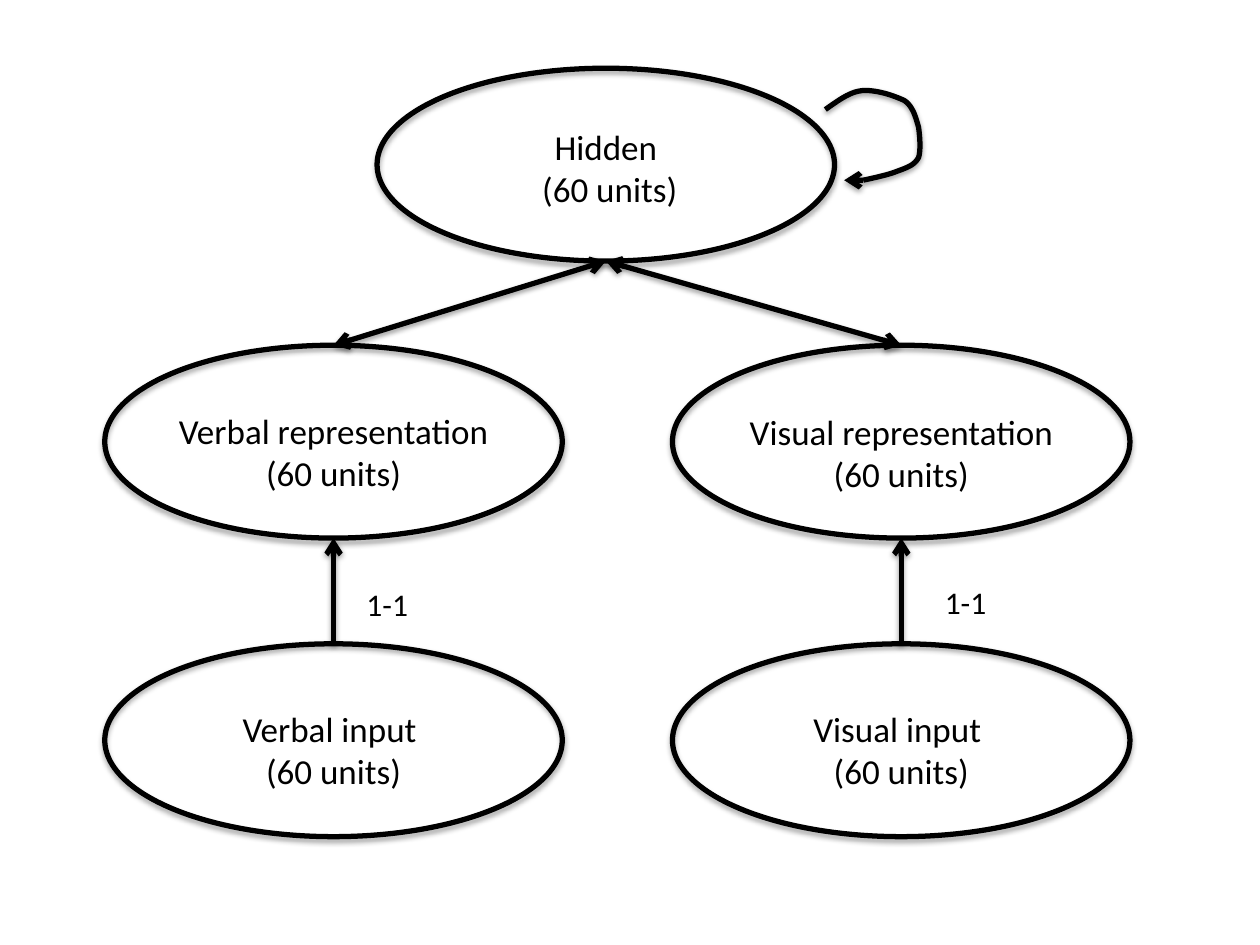
from lxml.etree import SubElement
from pptx import Presentation
from pptx.dml.color import RGBColor
from pptx.enum.shapes import MSO_CONNECTOR, MSO_SHAPE
from pptx.enum.text import MSO_AUTO_SIZE, PP_ALIGN
from pptx.oxml.ns import qn
from pptx.util import Pt

BLACK = RGBColor(0, 0, 0)
FONT = "Calibri"
WIDE, HIGH = 261.4, 110.2
LEFT, MID, RIGHT = 190.6, 346.2, 515
TOP, CORE, BASE = 39, 197.3, 367.9


class Sketch:
    def __init__(self, deck):
        self.shapes = deck.slides.add_slide(deck.slide_layouts[6]).shapes

    def shade(self, shape, alpha, dist):
        effect = SubElement(shape._element.spPr, qn("a:effectLst"))
        outer = SubElement(effect, qn("a:outerShdw"), blurRad=str(Pt(3.1)),
                           dist=str(Pt(dist)), dir="5400000", rotWithShape="0")
        tint = SubElement(outer, qn("a:srgbClr"), val=str(BLACK))
        SubElement(tint, qn("a:alpha"), val=str(alpha * 1000))

    def stroke(self, shape, alpha=38, dist=1.6, ends=()):
        shape.line.color.rgb = BLACK
        shape.line.width = Pt(3)
        for end in ends:
            SubElement(shape.line._get_or_add_ln(), qn("a:" + end), type="arrow")
        self.shade(shape, alpha, dist)

    def oval(self, mid, top):
        shape = self.shapes.add_shape(
            MSO_SHAPE.OVAL, Pt(mid - WIDE / 2), Pt(top), Pt(WIDE), Pt(HIGH))
        shape.fill.background()
        self.stroke(shape, 35, 1.8)

    def arrow(self, start, stop, ends=("tailEnd",)):
        line = self.shapes.add_connector(
            MSO_CONNECTOR.STRAIGHT, *(Pt(v) for v in (*start, *stop)))
        self.stroke(line, ends=ends)

    def curve(self, start, parts, steps=12):
        dots, last = [], start
        for a, b, end in parts:
            for i in range(1, steps + 1):
                t = i / steps
                u = 1 - t
                dots.append(tuple(
                    Pt(u**3 * p + 3 * u * u * t * q + 3 * u * t * t * r + t**3 * s)
                    for p, q, r, s in zip(last, a, b, end)))
            last = end
        pen = self.shapes.build_freeform(Pt(start[0]), Pt(start[1]))
        pen.add_line_segments(dots, close=False)
        shape = pen.convert_to_shape()
        shape.fill.background()
        self.stroke(shape)

    def text(self, words, left, top, width, height, size=20, align=PP_ALIGN.CENTER):
        frame = self.shapes.add_textbox(
            Pt(left), Pt(top), Pt(width), Pt(height)).text_frame
        frame.word_wrap = True
        frame.auto_size = MSO_AUTO_SIZE.SHAPE_TO_FIT_TEXT
        frame.text = words
        for para in frame.paragraphs:
            para.alignment = align
            for run in para.runs:
                run.font.name = FONT
                run.font.size = Pt(size)
                run.font.color.rgb = BLACK

    def label(self, words, mid, top):
        self.text(words, mid - 103.7, top, 207.4, 55.4)


def main():
    deck = Presentation()
    deck.slide_width, deck.slide_height = Pt(720), Pt(540)
    art = Sketch(deck)

    art.oval(MID, TOP)
    for top in (CORE, BASE):
        for mid in (LEFT, RIGHT):
            art.oval(mid, top)

    for mid in (LEFT, RIGHT):
        art.arrow((mid, BASE), (mid, CORE + HIGH))
    for mid in (LEFT, RIGHT):
        art.arrow((mid, CORE), (MID, TOP + HIGH), ("headEnd", "tailEnd"))

    art.curve((471.6, 62.6), [
        ((478.8, 57.6), (485.3, 52.6), (492.5, 51.8)),
        ((500.4, 51.1), (511.2, 54.7), (517, 57.6)),
        ((522, 61.2), (523.4, 67.7), (524.9, 72.7)),
        ((525.6, 77.8), (526.3, 85.7), (524.9, 90)),
        ((522.7, 94.3), (518.4, 95.8), (512.6, 97.9)),
        ((507.6, 100.1), (493.2, 103), (493.2, 103)),
    ])
    art.arrow((493.2, 103), (482.4, 103))

    art.label("Hidden\n (60 units)", MID, 68.4)
    art.label("Verbal representation (60 units)", LEFT, 230.4)
    art.label("Visual representation (60 units)", RIGHT, 231.1)
    art.label("Verbal input \n(60 units)", LEFT, 401)
    art.label("Visual input \n(60 units)", RIGHT, 401)
    for left, top in ((202.3, 330.5), (532.8, 329.8)):
        art.text("1-1", left, top, 56.9, 28.8, 18, PP_ALIGN.LEFT)

    deck.save("out.pptx")


if __name__ == "__main__":
    main()
